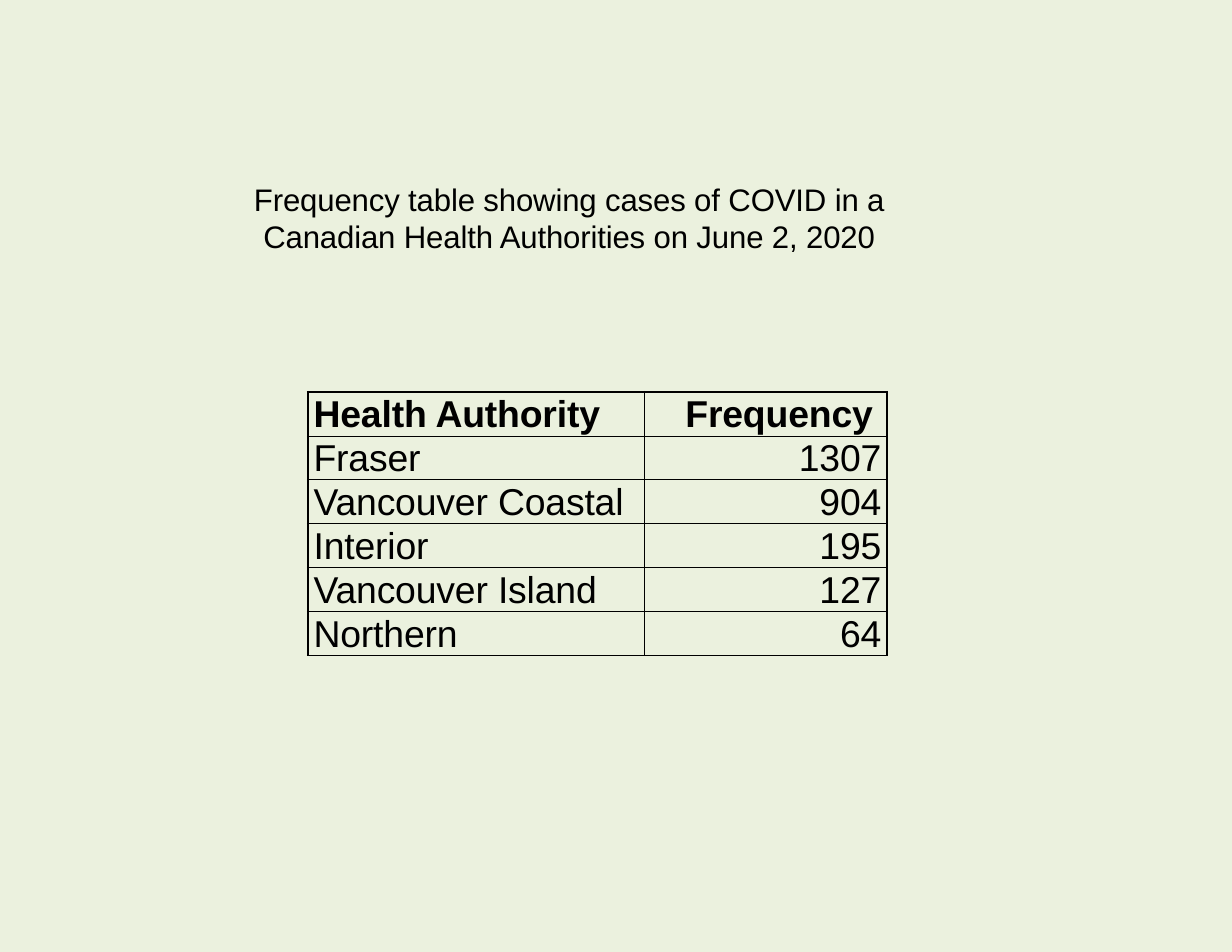
from lxml import etree
from pptx import Presentation
from pptx.dml.color import RGBColor
from pptx.enum.text import PP_ALIGN
from pptx.oxml.ns import qn
from pptx.util import Inches, Pt

LEFT, CENTER, RIGHT = PP_ALIGN.LEFT, PP_ALIGN.CENTER, PP_ALIGN.RIGHT
BACKGROUND = RGBColor(0xEB, 0xF1, 0xDE)
BLACK = RGBColor(0x00, 0x00, 0x00)
THIN, THICK = Pt(0.5), Pt(1.5)
COLUMN_WIDTHS = [Inches(3), Inches(2.17)]
ROW_HEIGHT = Inches(0.39)
TITLE = ("Frequency table showing cases of COVID in a "
         "Canadian Health Authorities on June 2, 2020")
ROWS = [
    ("Health Authority", "Frequency"),
    ("Fraser", "1307"),
    ("Vancouver Coastal", "904"),
    ("Interior", "195"),
    ("Vancouver Island", "127"),
    ("Northern", "64"),
]


def write(para, text, size, align, space_before, bold=False):
    para.alignment = align
    para.space_before = Pt(space_before)
    span = para.add_run()
    span.text = text
    span.font.color.rgb = BLACK
    for name, value in {"name": "Arial", "size": Pt(size), "bold": bold}.items():
        setattr(span.font, name, value)
    span.font._element.set("spc", "-10")


def add_border(cell, side, width):
    line = etree.SubElement(cell._tc.get_or_add_tcPr(), qn(f"a:ln{side}"), w=str(width))
    fill = etree.SubElement(line, qn("a:solidFill"))
    etree.SubElement(fill, qn("a:srgbClr"), val=str(BLACK))


deck = Presentation()
deck.slide_width, deck.slide_height = Inches(11), Inches(8.5)
page = deck.slides.add_slide(deck.slide_layouts[6])
page.background.fill.solid()
page.background.fill.fore_color.rgb = BACKGROUND

# Frequency table
table = page.shapes.add_table(
    len(ROWS), len(COLUMN_WIDTHS), Inches(2.75), Inches(3.5),
    sum(COLUMN_WIDTHS), ROW_HEIGHT * len(ROWS)).table
table.first_row = table.horz_banding = False
for column, width in zip(table.columns, COLUMN_WIDTHS):
    column.width = width

for r, values in enumerate(ROWS):
    table.rows[r].height = ROW_HEIGHT
    header = r == 0
    for c, text in enumerate(values):
        cell = table.cell(r, c)
        margins = {
            "margin_left": Inches(0.37 if header and c else 0.05),
            "margin_right": Inches(0.05 if c else 0),
            "margin_top": Inches(0.02),
            "margin_bottom": 0,
        }
        for name, value in margins.items():
            setattr(cell, name, value)
        align = RIGHT if c and not header else LEFT
        write(cell.text_frame.paragraphs[0], text, 24, align, 1.6, bold=header)
        borders = {
            "L": THIN if c else THICK,
            "R": THICK if c else THIN,
            "T": THICK if header else THIN,
            "B": THIN,
        }
        for side, width in borders.items():
            add_border(cell, side, width)
        cell.fill.background()

# Title
box = page.shapes.add_textbox(Inches(2.17), Inches(1.58), Inches(5.82), Inches(0.7))
frame = box.text_frame
for name, value in {"word_wrap": True, "margin_left": 0, "margin_right": 0,
                    "margin_top": Inches(0.03), "margin_bottom": 0}.items():
    setattr(frame, name, value)
write(frame.paragraphs[0], TITLE, 20, CENTER, 1.9)

deck.save("out.pptx")
